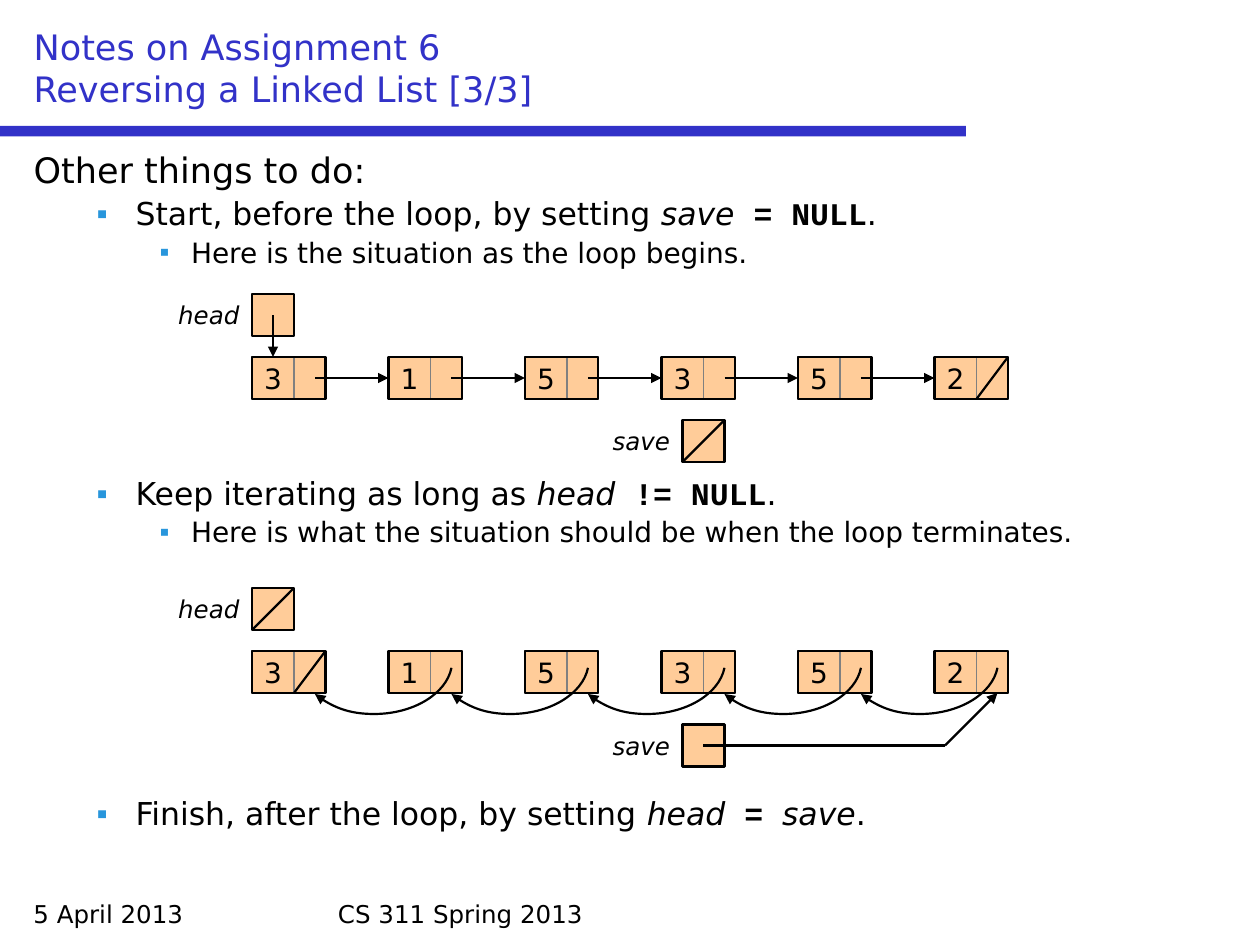
import dataclasses

import lxml.etree
import pptx
import pptx.dml.color
import pptx.enum.shapes
import pptx.enum.text
import pptx.oxml.ns
import pptx.util

COLUMNS = 120
VALUES = "315352"
FIRST_COLUMN, NODE_PITCH = 24, 13
BOX, LINK, NODE = 4, 3, 7
LINK_START = 6
SAVE_COLUMN = 65
# Bézier points of a backward link, from the top left of its node
BACK_LINK = [(6, 1.6), (5.5, 4.1), (2.36, 6), (-1.36, 6), (-3.5, 6), (-5.56, 5.3), (-7, 4.1)]


def color(value):
    return pptx.dml.color.RGBColor.from_string(value)


@dataclasses.dataclass
class Theme:
    accent: str = "3232C8"
    bullet: str = "2896DC"
    ink: str = "000000"
    node: str = "FFCC99"
    divider: str = "808080"
    font: str = "DejaVu Sans"
    code_font: str = "Courier New"
    title_size: int = 20
    level_sizes: tuple = (20, 18, 16)
    value_size: int = 16
    label_size: int = 14
    thin: float = 0.75
    thick: float = 1.25
    indents: tuple = ((0.38, -0.38), (0.81, -0.31), (1.25, -0.25))
    level_gaps: tuple = (0, 4.2, 3.7)


def child(parent, tag, **attributes):
    return lxml.etree.SubElement(parent, pptx.oxml.ns.qn(tag), attributes)


class ListSlide:
    def __init__(self, deck, theme):
        self.theme = theme
        self.slide = deck.slides.add_slide(deck.slide_layouts[1])
        self.unit = deck.slide_width / COLUMNS

    def grid(self, *cells):
        return [round(cell * self.unit) for cell in cells]

    def move(self, shape, *cells):
        shape.left, shape.top, shape.width, shape.height = self.grid(*cells)

    def style(self, font, size, ink=None, italic=None):
        font.name, font.size, font.italic = self.theme.font, pptx.util.Pt(size), italic
        font.color.rgb = color(ink or self.theme.ink)

    def stroke(self, line, ink=None, width=None, arrow=False):
        line.color.rgb = color(ink or self.theme.ink)
        line.width = pptx.util.Pt(width or self.theme.thick)
        if arrow:
            child(line._get_or_add_ln(), "a:tailEnd", type="triangle")

    def title(self, text, *cells):
        heading = self.slide.shapes.title
        self.move(heading, *cells)
        heading.text_frame.text = text
        heading.text_frame.auto_size = pptx.enum.text.MSO_AUTO_SIZE.NONE
        heading.text_frame.vertical_anchor = pptx.enum.text.MSO_ANCHOR.BOTTOM
        paragraph = heading.text_frame.paragraphs[0]
        paragraph.alignment = pptx.enum.text.PP_ALIGN.LEFT
        self.style(paragraph.font, self.theme.title_size, self.theme.accent)

    def body(self, steps, *cells):
        """Fill the body with (level, extra gap in points, runs) steps."""
        body = self.slide.placeholders[1]
        self.move(body, *cells)
        frame = body.text_frame
        frame.auto_size = pptx.enum.text.MSO_AUTO_SIZE.NONE
        for number, (level, gap, runs) in enumerate(steps):
            paragraph = frame.add_paragraph() if number else frame.paragraphs[0]
            paragraph.level = level
            paragraph.line_spacing = 0.9
            paragraph.space_before = pptx.util.Pt(self.theme.level_gaps[level] + gap)
            self.bullet(paragraph, level)
            self.style(paragraph.font, self.theme.level_sizes[level])
            for text, kind in runs:
                run = paragraph.add_run()
                run.text = text
                if kind == "variable":
                    run.font.italic = True
                elif kind == "code":
                    run.font.name, run.font.bold = self.theme.code_font, True

    def bullet(self, paragraph, level):
        properties = paragraph._p.get_or_add_pPr()
        margin, indent = self.theme.indents[level]
        properties.set("marL", str(pptx.util.Inches(margin)))
        properties.set("indent", str(pptx.util.Inches(indent)))
        if level:
            child(child(properties, "a:buClr"), "a:srgbClr", val=self.theme.bullet)
            child(properties, "a:buChar", char="▪")
        else:
            child(properties, "a:buNone")

    def text(self, words, *cells, italic=None, align=pptx.enum.text.PP_ALIGN.LEFT):
        frame = self.slide.shapes.add_textbox(*self.grid(*cells)).text_frame
        frame.word_wrap = True
        frame.text = words
        frame.paragraphs[0].alignment = align
        self.style(frame.paragraphs[0].font, self.theme.label_size, italic=italic)

    def rectangle(self, *cells, fill=None, ink=None, width=None, value=""):
        shape = self.slide.shapes.add_shape(
            pptx.enum.shapes.MSO_SHAPE.RECTANGLE, *self.grid(*cells))
        shape.shadow.inherit = False
        if fill:
            shape.fill.solid()
            shape.fill.fore_color.rgb = color(fill)
        else:
            shape.fill.background()
        self.stroke(shape.line, ink, width)
        if value:
            frame = shape.text_frame
            frame.text = value
            frame.word_wrap = False
            frame.vertical_anchor = pptx.enum.text.MSO_ANCHOR.MIDDLE
            frame.paragraphs[0].alignment = pptx.enum.text.PP_ALIGN.CENTER
            self.style(frame.paragraphs[0].font, self.theme.value_size)
        return shape

    def rule(self, *cells):
        self.rectangle(*cells, fill=self.theme.accent).line.fill.background()

    def line(self, *cells, arrow=False, target=None, side=0):
        connector = self.slide.shapes.add_connector(
            pptx.enum.shapes.MSO_CONNECTOR.STRAIGHT, *self.grid(*cells))
        if target is not None:
            connector.end_connect(target, side)
        self.stroke(connector.line, arrow=arrow)
        child(connector._element.spPr, "a:effectLst")

    def null(self, column, row, width):
        self.line(column, row + BOX, column + width, row)

    def curve(self, column, row, points):
        """Draw an arrow along cubic Bézier points, three to a segment."""
        start, *controls = [(column + x, row + y) for x, y in points]
        builder = self.slide.shapes.build_freeform(*self.grid(*start))
        builder.add_line_segments([self.grid(*point) for point in controls], close=False)
        shape = builder.convert_to_shape()
        shape.shadow.inherit = False
        shape.fill.background()
        self.stroke(shape.line, arrow=True)
        outline = shape._element.find(".//" + pptx.oxml.ns.qn("a:path"))
        segments = outline.findall(pptx.oxml.ns.qn("a:lnTo"))
        for number, segment in enumerate(segments):
            if number % 3 == 0:
                bezier = child(outline, "a:cubicBezTo")
            bezier.append(segment[0])
            outline.remove(segment)

    def pointer(self, name, column, row):
        self.rectangle(column, row, BOX, BOX, fill=self.theme.node)
        self.text(name, column - 12, row, 12, 4.08, italic=True,
                  align=pptx.enum.text.PP_ALIGN.RIGHT)

    def node(self, value, column, row):
        """Draw a node; return its value cell and its frame."""
        cell = dict(fill=self.theme.node, ink=self.theme.divider, width=self.theme.thin)
        value_cell = self.rectangle(column, row, BOX, BOX, value=value, **cell)
        self.rectangle(column + BOX, row, LINK, BOX, **cell)
        return value_cell, self.rectangle(column, row, NODE, BOX)

    def linked_list(self, row, save_row):
        """Draw the nodes and both pointers; return the node columns and parts."""
        columns = [FIRST_COLUMN + NODE_PITCH * i for i in range(len(VALUES))]
        nodes = [self.node(value, column, row) for value, column in zip(VALUES, columns)]
        self.pointer("head", FIRST_COLUMN, row - 6)
        self.pointer("save", SAVE_COLUMN, save_row)
        return columns, nodes

    def before_loop(self, row):
        columns, nodes = self.linked_list(row, row + 6)
        for column, (_, frame) in zip(columns, nodes[1:]):
            self.line(column + LINK_START, row + 2, column + NODE_PITCH, row + 2,
                      arrow=True, target=frame, side=1)
        middle = FIRST_COLUMN + BOX / 2
        self.line(middle, row - 4, middle, row, arrow=True, target=nodes[0][0], side=0)
        self.null(columns[-1] + BOX, row, LINK)
        self.null(SAVE_COLUMN, row + 6, BOX)

    def after_loop(self, row):
        columns, _ = self.linked_list(row, row + 7)
        for column in columns[1:]:
            self.curve(column, row, BACK_LINK)
        self.null(FIRST_COLUMN, row - 6, BOX)
        self.null(FIRST_COLUMN + BOX, row, LINK)
        bend, tip = columns[-1] + 1, columns[-1] + 6
        self.line(SAVE_COLUMN + BOX / 2, row + 9, bend, row + 9)
        self.line(bend, row + 9, tip, row + BOX, arrow=True)


STEPS = [
    (0, 0, [("Other things to do:", "")]),
    (1, 0, [("Start, before the loop, by setting ", ""), ("save", "variable"),
            (" = NULL", "code"), (".", "")]),
    (2, 0, [("Here is the situation as the loop begins.", "")]),
    (1, 115.2, [("Keep iterating as long as ", ""), ("head", "variable"),
                (" != NULL", "code"), (".", "")]),
    (2, 0, [("Here is what the situation should be when the loop terminates.", "")]),
    (1, 138.2, [("Finish, after the loop, by setting ", ""), ("head", "variable"),
                (" = ", "code"), ("save", "variable"), (".", "")]),
]


def main():
    deck = pptx.Presentation()
    deck.slide_width, deck.slide_height = pptx.util.Inches(10), pptx.util.Inches(7.5)
    page = ListSlide(deck, Theme())
    page.rule(0, 12, 92, 1)
    page.text("5 April 2013", 2, 85, 28, 4)
    page.text("CS 311 Spring 2013", 31, 85, 58, 4)
    page.title("Notes on Assignment 6\vReversing a Linked List [3/3]", 2, 2, 116, 9)
    page.body(STEPS, 2, 14, 116, 70)
    page.before_loop(34)
    page.after_loop(62)
    deck.save("out.pptx")


if __name__ == "__main__":
    main()
